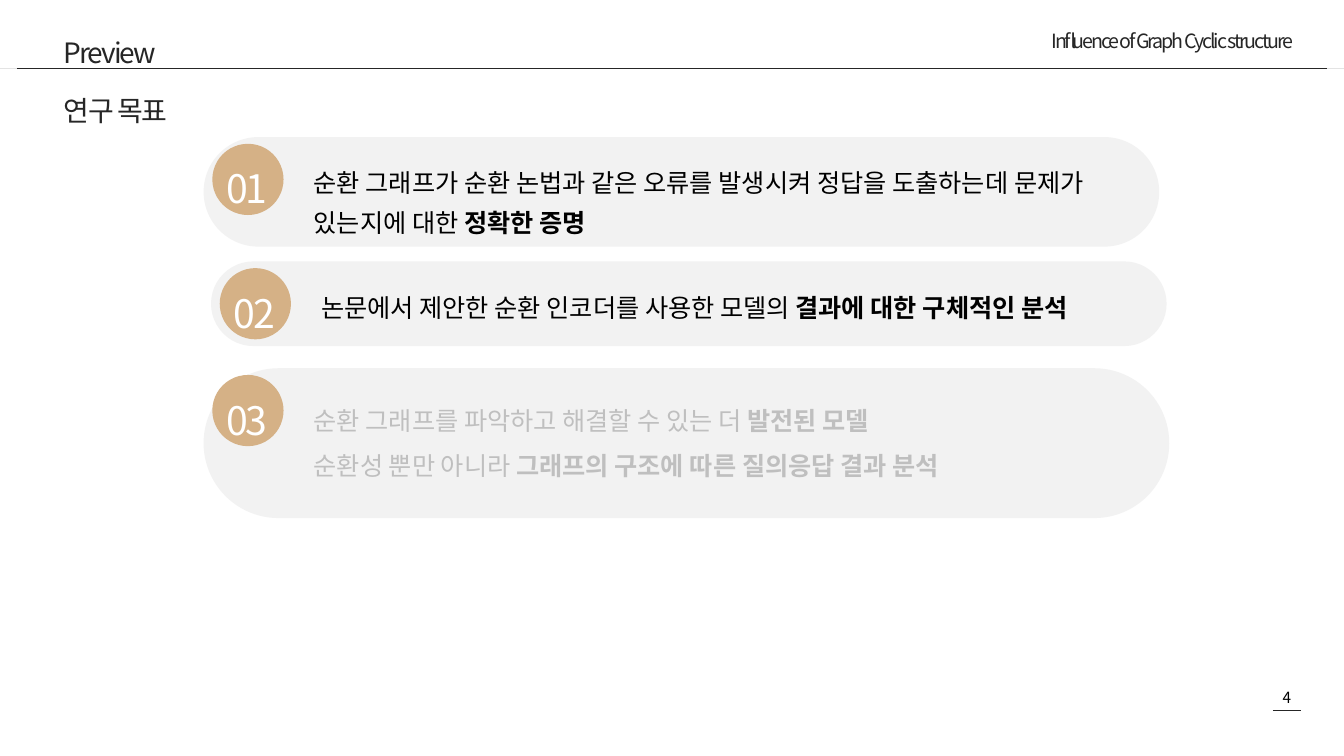
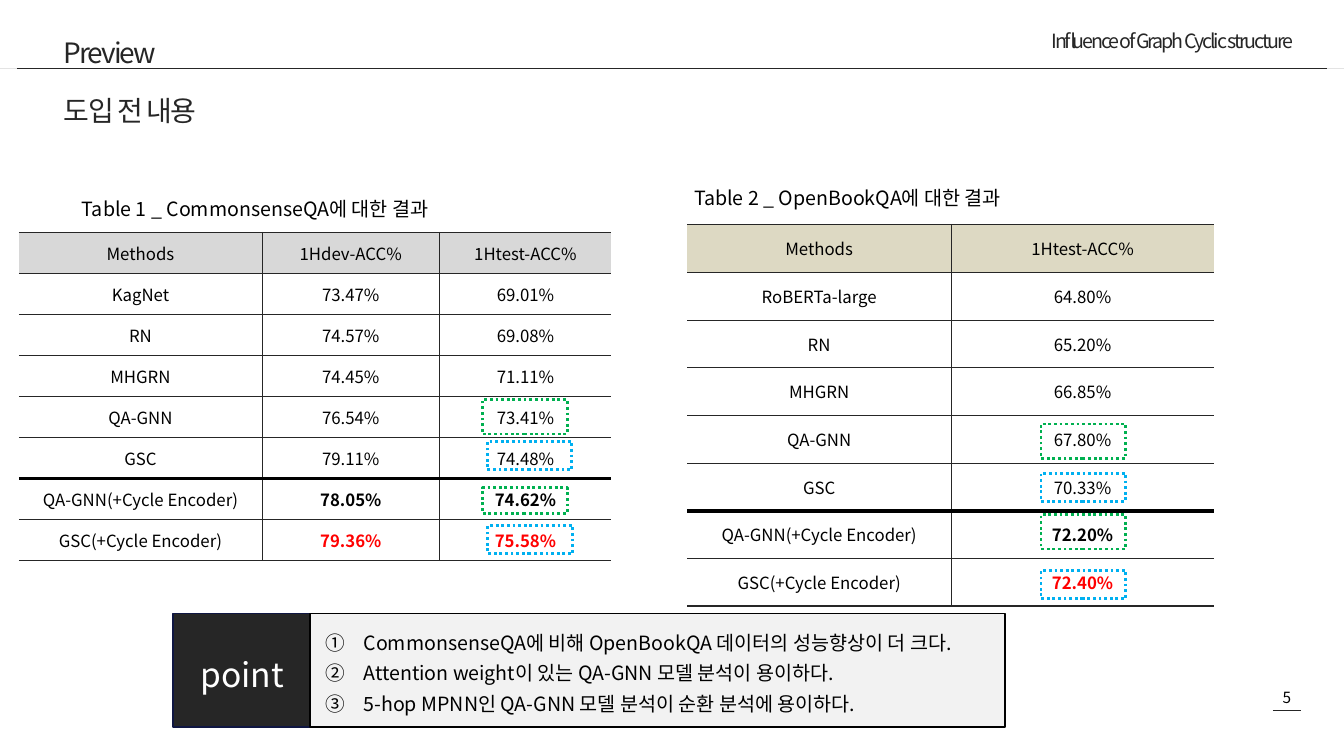
from dataclasses import dataclass, replace

from lxml import etree
from pptx import Presentation
from pptx.dml.color import RGBColor
from pptx.enum.dml import MSO_LINE
from pptx.enum.shapes import MSO_CONNECTOR, MSO_SHAPE
from pptx.enum.text import MSO_ANCHOR, MSO_AUTO_SIZE, PP_ALIGN
from pptx.oxml.ns import qn
from pptx.shapes.autoshape import Shape
from pptx.slide import Slide
from pptx.table import _Cell
from pptx.text.text import TextFrame
from pptx.util import Pt

PX = 9144
FONT = "Noto Sans CJK KR"

BLACK = RGBColor(0x00, 0x00, 0x00)
WHITE = RGBColor(0xFF, 0xFF, 0xFF)
INK = RGBColor(0x26, 0x26, 0x26)
PANEL = RGBColor(0xF2, 0xF2, 0xF2)
SAND = RGBColor(0xD5, 0xB1, 0x86)
MUTED = RGBColor(0xBF, 0xBF, 0xBF)
GRAY_HEADER = RGBColor(0xD8, 0xD8, 0xD8)
BEIGE_HEADER = RGBColor(0xDD, 0xD9, 0xC3)
RED = RGBColor(0xFF, 0x00, 0x00)
GREEN = RGBColor(0x00, 0xB0, 0x50)
BLUE = RGBColor(0x00, 0xB0, 0xF0)
NAVY = RGBColor(0x0F, 0x16, 0x42)

LEFT, CENTER, RIGHT = PP_ALIGN.LEFT, PP_ALIGN.CENTER, PP_ALIGN.RIGHT
TOP, MIDDLE = MSO_ANCHOR.TOP, MSO_ANCHOR.MIDDLE
NO_FIT, GROW = MSO_AUTO_SIZE.NONE, MSO_AUTO_SIZE.SHAPE_TO_FIT_TEXT
RECTANGLE, PILL, OVAL = MSO_SHAPE.RECTANGLE, MSO_SHAPE.ROUNDED_RECTANGLE, MSO_SHAPE.OVAL
STRAIGHT = MSO_CONNECTOR.STRAIGHT
DOTTED = MSO_LINE.ROUND_DOT
TITLE_AND_CONTENT, TITLE_ONLY = 1, 5


@dataclass(frozen=True)
class Box:
    left: int
    top: int
    width: int
    height: int

    def emu(self) -> tuple[int, int, int, int]:
        return self.left * PX, self.top * PX, self.width * PX, self.height * PX


@dataclass(frozen=True)
class Style:
    size: float
    color: RGBColor = BLACK
    alignment: PP_ALIGN = LEFT
    spacing: float = 1.0
    tracking: int = 0


@dataclass(frozen=True)
class Run:
    text: str
    bold: bool = False


@dataclass(frozen=True)
class Goal:
    number: str
    box: Box
    text_width: int
    style: Style
    lines: list[list[Run]]


@dataclass(frozen=True)
class Marker:
    box: Box
    color: RGBColor


@dataclass(frozen=True)
class ResultTable:
    caption: str
    caption_box: Box
    left: int
    top: int
    widths: list[int]
    row_height: int
    header_color: RGBColor
    rows: list[list[str]]
    markers: list[Marker]


TITLE = Style(30, INK, spacing=1.3, tracking=-220)
SUBTITLE = replace(TITLE, tracking=-150)
RUNNING_HEAD = Style(21, INK, RIGHT, tracking=-220)
PAGE_NUMBER = Style(16.5, alignment=CENTER)
BADGE = Style(42, WHITE, CENTER, 1.5, -220)
GOAL = Style(27, spacing=1.3)
CAPTION = Style(21, spacing=1.5)
CELL = Style(18, alignment=CENTER)
POINT_LABEL = Style(36, WHITE, CENTER, 1.2)
POINT = Style(21, spacing=1.3)

GOALS = [
    Goal("01", Box(303, 204, 1422, 163), 1243, GOAL, [[
        Run("순환 그래프가 순환 논법과 같은 오류를 발생시켜 정답을 도출하는데 문제가 있는지에 대한 "),
        Run("정확한 증명", True)]]),
    Goal("02", Box(314, 389, 1422, 126), 1280, GOAL, [[
        Run("논문에서 제안한 순환 인코더를 사용한 모델의 "),
        Run("결과에 대한 구체적인 분석", True)]]),
    Goal("03", Box(303, 548, 1437, 223), 1313, Style(27, MUTED, spacing=1.5), [
        [Run("순환 그래프를 파악하고 해결할 수 있는 더 "), Run("발전된 모델", True)],
        [Run("순환성 뿐만 아니라 "), Run("그래프의 구조에 따른 질의응답 결과 분석", True)]]),
]

FIRST_ENCODER_ROW = 6
BEST_ROW = 7
TABLES = [
    ResultTable(
        "Table 1 _ CommonsenseQA에 대한 결과", Box(112, 271, 866, 59),
        28, 346, [362, 264, 256], 61, GRAY_HEADER,
        [["Methods", "1Hdev-ACC%", "1Htest-ACC%"],
         ["KagNet", "73.47%", "69.01%"],
         ["RN", "74.57%", "69.08%"],
         ["MHGRN", "74.45%", "71.11%"],
         ["QA-GNN", "76.54%", "73.41%"],
         ["GSC", "79.11%", "74.48%"],
         ["QA-GNN(+Cycle Encoder)", "78.05%", "74.62%"],
         ["GSC(+Cycle Encoder)", "79.36%", "75.58%"]],
        [Marker(Box(718, 595, 126, 51), GREEN), Marker(Box(718, 726, 126, 38), GREEN),
         Marker(Box(725, 657, 126, 42), BLUE), Marker(Box(726, 782, 126, 42), BLUE)]),
    ResultTable(
        "Table 2 _ OpenBookQA에 대한 결과", Box(1023, 254, 866, 59),
        1023, 334, [392, 392], 71, BEIGE_HEADER,
        [["Methods", "1Htest-ACC%"],
         ["RoBERTa-large", "64.80%"],
         ["RN", "65.20%"],
         ["MHGRN", "66.85%"],
         ["QA-GNN", "67.80%"],
         ["GSC", "70.33%"],
         ["QA-GNN(+Cycle Encoder)", "72.20%"],
         ["GSC(+Cycle Encoder)", "72.40%"]],
        [Marker(Box(1549, 631, 126, 51), GREEN), Marker(Box(1549, 766, 126, 51), GREEN),
         Marker(Box(1549, 849, 126, 42), BLUE), Marker(Box(1549, 704, 126, 42), BLUE)]),
]

POINTS = [
    "CommonsenseQA에 비해 OpenBookQA 데이터의 성능향상이 더 크다.",
    "Attention weight이 있는 QA-GNN 모델 분석이 용이하다.",
    "5-hop MPNN인 QA-GNN 모델 분석이 순환 분석에 용이하다.",
]


def write(frame: TextFrame, lines: list[list[Run]], style: Style,
          anchor: MSO_ANCHOR = TOP, fit: MSO_AUTO_SIZE = NO_FIT) -> None:
    frame.word_wrap = True
    frame.auto_size = fit
    frame.vertical_anchor = anchor
    for index, runs in enumerate(lines):
        paragraph = frame.add_paragraph() if index else frame.paragraphs[0]
        paragraph.alignment = style.alignment
        paragraph.line_spacing = style.spacing
        paragraph.space_before = Pt(0)
        paragraph.font.size = Pt(style.size)
        paragraph.font.color.rgb = style.color
        paragraph.font.name = FONT
        defaults = paragraph._p.pPr.find(qn("a:defRPr"))
        etree.SubElement(defaults, qn("a:ea"), typeface=FONT)
        if style.tracking:
            defaults.set("spc", str(style.tracking))
        for item in runs:
            run = paragraph.add_run()
            run.text = item.text
            if item.bold:
                run.font.bold = True


def add_text(slide: Slide, box: Box, lines: list[list[Run]], style: Style,
             anchor: MSO_ANCHOR = TOP, fit: MSO_AUTO_SIZE = GROW) -> None:
    write(slide.shapes.add_textbox(*box.emu()).text_frame, lines, style, anchor, fit)


def add_block(slide: Slide, kind: MSO_SHAPE, box: Box, fill: RGBColor | None = None,
              line: RGBColor | None = None, weight: float = 2) -> Shape:
    shape = slide.shapes.add_shape(kind, *box.emu())
    shape.shadow.inherit = False
    if fill is None:
        shape.fill.background()
    else:
        shape.fill.solid()
        shape.fill.fore_color.rgb = fill
    if line is None:
        shape.line.fill.background()
    else:
        shape.line.color.rgb = line
        shape.line.width = Pt(weight)
    return shape


def add_rule(slide: Slide, left: int, right: int, top: int) -> None:
    rule = slide.shapes.add_connector(STRAIGHT, left * PX, top * PX, right * PX, top * PX)
    rule.line.color.rgb = INK
    rule.line.width = Pt(0.5)
    etree.SubElement(rule._element.spPr, qn("a:effectLst"))


def place(shape: Shape, box: Box) -> None:
    shape.left, shape.top, shape.width, shape.height = box.emu()


def add_page(presentation: Presentation, layout: int, number: int, subtitle: str) -> Slide:
    slide = presentation.slides.add_slide(presentation.slide_layouts[layout])
    add_text(slide, Box(1864, 1019, 102, 38), [[Run(str(number))]], PAGE_NUMBER)
    add_rule(slide, 1894, 1936, 1057)
    add_text(slide, Box(1073, 38, 862, 53),
             [[Run("Influence of Graph Cyclic structure")]], RUNNING_HEAD)
    add_block(slide, RECTANGLE, Box(0, 102, 2000, 0), INK)
    add_rule(slide, 26, 1974, 102)
    place(slide.shapes.title, Box(85, 19, 915, 102))
    write(slide.shapes.title.text_frame, [[Run("Preview")]], TITLE, MIDDLE)
    add_text(slide, Box(85, 106, 915, 102), [[Run(subtitle)]], SUBTITLE, MIDDLE, NO_FIT)
    return slide


def add_goal(slide: Slide, goal: Goal) -> None:
    box = goal.box
    pill = add_block(slide, PILL, box, PANEL)
    pill.adjustments[0] = 0.5
    add_block(slide, OVAL, Box(box.left + 13, box.top + 10, 106, 106), SAND)
    add_text(slide, Box(box.left + 154, box.top + 27, goal.text_width, box.height - 27),
             goal.lines, goal.style)
    add_text(slide, Box(box.left + 11, box.top + 5, 107, 107),
             [[Run(goal.number)]], BADGE, MIDDLE)


def set_borders(cell: _Cell, borders: dict[str, tuple[RGBColor, float] | None]) -> None:
    properties = cell._tc.get_or_add_tcPr()
    for index, (side, border) in enumerate(borders.items()):
        line = etree.Element(qn(f"a:{side}"))
        if border is None:
            etree.SubElement(line, qn("a:noFill"))
        else:
            color, weight = border
            line.set("w", str(Pt(weight)))
            fill = etree.SubElement(line, qn("a:solidFill"))
            etree.SubElement(fill, qn("a:srgbClr"), val=str(color))
        properties.insert(index, line)


def add_results(slide: Slide, results: ResultTable) -> None:
    add_text(slide, results.caption_box, [[Run(results.caption)]], CAPTION)
    row_count, column_count = len(results.rows), len(results.widths)
    box = Box(results.left, results.top, sum(results.widths), results.row_height * row_count)
    table = slide.shapes.add_table(row_count, column_count, *box.emu()).table
    table.first_row = table.horz_banding = False
    for column, width in zip(table.columns, results.widths):
        column.width = width * PX
    thin, edge = (INK, 0.5), (INK, 1.5)
    rules = [thin] * (row_count + 1)
    rules[0] = rules[-1] = edge
    rules[FIRST_ENCODER_ROW] = (BLACK, 4.5)
    for row, values in enumerate(results.rows):
        table.rows[row].height = results.row_height * PX
        for column, value in enumerate(values):
            cell = table.cell(row, column)
            cell.margin_left = cell.margin_right = 15 * PX
            cell.margin_top = cell.margin_bottom = 7 * PX
            cell.vertical_anchor = MIDDLE
            if row == 0:
                cell.fill.solid()
                cell.fill.fore_color.rgb = results.header_color
            else:
                cell.fill.background()
            style = replace(CELL, color=RED) if row == BEST_ROW and column else CELL
            bold = row >= FIRST_ENCODER_ROW and column > 0
            write(cell.text_frame, [[Run(value, bold)]], style, MIDDLE)
            set_borders(cell, {
                "lnL": thin if column else None,
                "lnR": thin if column < column_count - 1 else None,
                "lnT": rules[row],
                "lnB": rules[row + 1]})
    for marker in results.markers:
        outline = add_block(slide, RECTANGLE, marker.box, line=marker.color, weight=3)
        outline.line.dash_style = DOTTED


def add_points(slide: Slide) -> None:
    label = add_block(slide, RECTANGLE, Box(258, 913, 205, 169), INK, NAVY)
    write(label.text_frame, [[Run("point")]], POINT_LABEL, MIDDLE)
    add_block(slide, RECTANGLE, Box(461, 913, 1035, 169), PANEL, BLACK)
    body = slide.placeholders[1]
    place(body, Box(461, 923, 1035, 143))
    write(body.text_frame, [[Run(point)] for point in POINTS], POINT)
    for paragraph in body.text_frame.paragraphs:
        properties = paragraph._p.pPr
        properties.set("marL", str(70 * PX))
        properties.set("indent", str(-56 * PX))
        bullet = etree.Element(qn("a:buAutoNum"), type="circleNumDbPlain")
        properties.find(qn("a:defRPr")).addprevious(bullet)
    slide.shapes._spTree.append(body._element)


def main() -> None:
    presentation = Presentation()
    presentation.slide_width, presentation.slide_height = 2000 * PX, 1125 * PX
    goals_slide = add_page(presentation, TITLE_ONLY, 4, "연구 목표")
    for goal in GOALS:
        add_goal(goals_slide, goal)
    results_slide = add_page(presentation, TITLE_AND_CONTENT, 5, "도입 전 내용")
    for results in TABLES:
        add_results(results_slide, results)
    add_points(results_slide)
    presentation.save("out.pptx")


if __name__ == "__main__":
    main()
